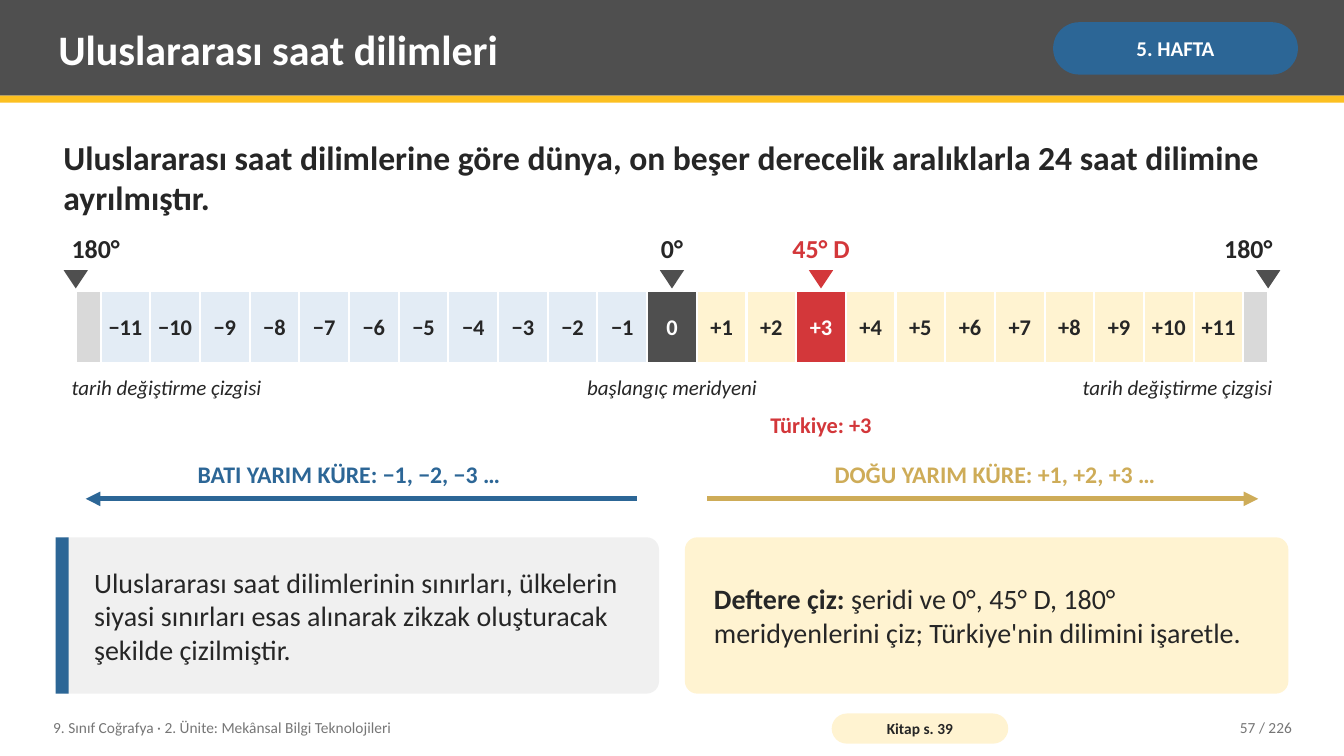
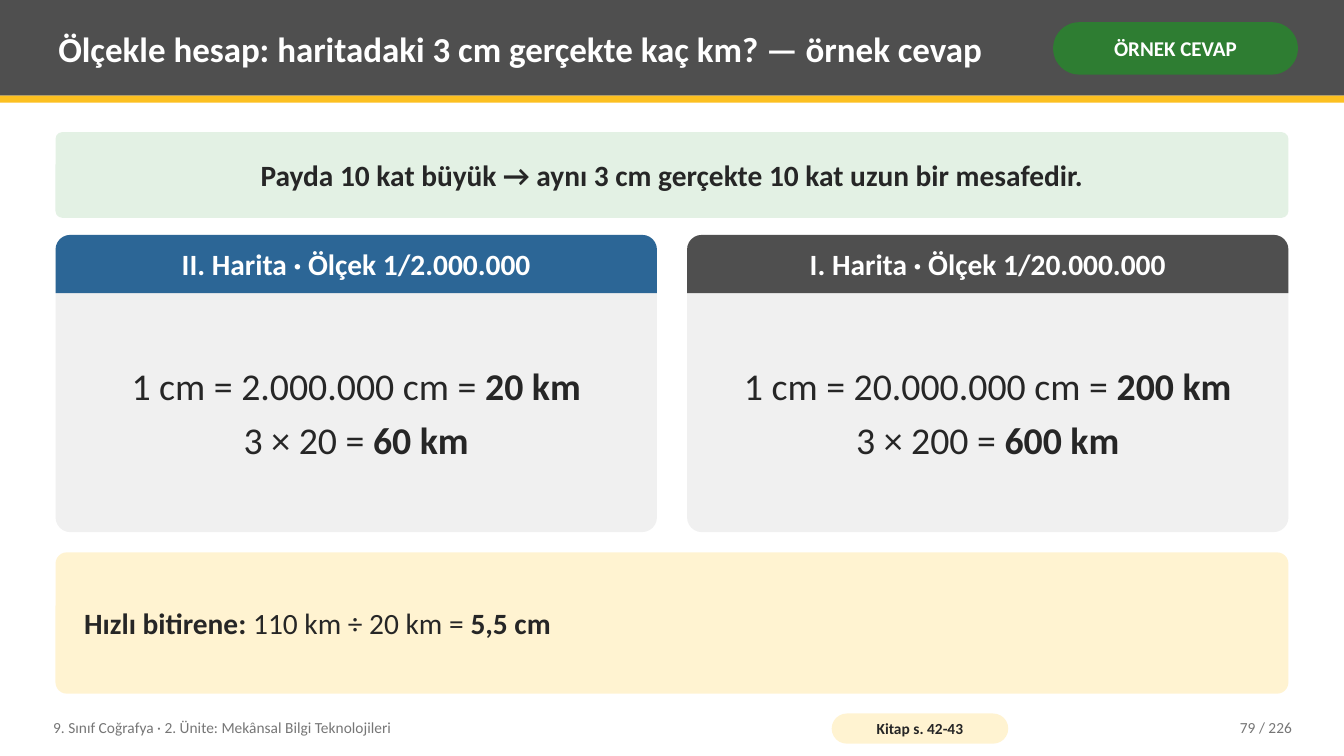
import dataclasses

import lxml.etree
import pptx
import pptx.dml.color
import pptx.enum.shapes
import pptx.enum.text
import pptx.oxml.ns
import pptx.util

Cm = pptx.util.Cm
Pt = pptx.util.Pt
Shape = pptx.enum.shapes.MSO_SHAPE
Align = pptx.enum.text.PP_ALIGN
Anchor = pptx.enum.text.MSO_ANCHOR


@dataclasses.dataclass(frozen=True)
class Theme:
    font: str = "Calibri"
    white: str = "FFFFFF"
    ink: str = "262626"
    muted: str = "767676"
    dark: str = "4F4F4F"
    gold: str = "FCC021"
    ochre: str = "CEAC58"
    cream: str = "FFF3D1"
    blue: str = "2C6696"
    pale_blue: str = "E3ECF5"
    red: str = "D3373A"
    green: str = "2E7D32"
    pale_green: str = "E3F1E4"
    panel: str = "F0F0F0"
    grey: str = "D9D9D9"
    footer: float = 11
    caption: float = 15
    label: float = 16
    direction: float = 17
    degree: float = 18.5
    body: float = 20
    strong: float = 21
    lead: float = 24
    formula: float = 27


theme = Theme()

FOOTER = "9. Sınıf Coğrafya · 2. Ünite: Mekânsal Bilgi Teknolojileri"
PAGE_COUNT = 226

ZONES_PAGE = {
    "title": "Uluslararası saat dilimleri", "title_size": 30,
    "badge": "5. HAFTA", "badge_color": theme.blue,
    "source": "Kitap s. 39", "number": 57,
}
LEAD = "Uluslararası saat dilimlerine göre dünya, on beşer derecelik aralıklarla 24 saat dilimine ayrılmıştır."
MERIDIANS = [
    (-12, "180°", theme.dark, theme.ink, Align.LEFT),
    (0, "0°", theme.dark, theme.ink, Align.CENTER),
    (3, "45° D", theme.red, theme.red, Align.CENTER),
    (12, "180°", theme.dark, theme.ink, Align.RIGHT),
]
CAPTIONS = [
    (-12, "tarih değiştirme çizgisi", Align.LEFT),
    (12, "tarih değiştirme çizgisi", Align.RIGHT),
    (0, "başlangıç meridyeni", Align.CENTER),
]
HEMISPHERES = [
    (-1, "BATI YARIM KÜRE: −1, −2, −3 …", theme.blue),
    (1, "DOĞU YARIM KÜRE: +1, +2, +3 …", theme.ochre),
]
BORDERS_NOTE = ("Uluslararası saat dilimlerinin sınırları, ülkelerin siyasi sınırları "
                "esas alınarak zikzak oluşturacak şekilde çizilmiştir.")
NOTEBOOK_TASK = [[("Deftere çiz:", True),
                  (" şeridi ve 0°, 45° D, 180° meridyenlerini çiz; Türkiye'nin dilimini işaretle.", False)]]

SCALE_PAGE = {
    "title": "Ölçekle hesap: haritadaki 3 cm gerçekte kaç km? — örnek cevap", "title_size": 25,
    "badge": "ÖRNEK CEVAP", "badge_color": theme.green,
    "source": "Kitap s. 42-43", "number": 79,
}
RULE = "Payda 10 kat büyük → aynı 3 cm gerçekte 10 kat uzun bir mesafedir."
MAPS = [
    ("II. Harita · Ölçek 1/2.000.000", theme.blue,
     [[("1 cm = 2.000.000 cm = ", False), ("20 km", True)],
      [("3 × 20 = ", False), ("60 km", True)]]),
    ("I. Harita · Ölçek 1/20.000.000", theme.dark,
     [[("1 cm = 20.000.000 cm = ", False), ("200 km", True)],
      [("3 × 200 = ", False), ("600 km", True)]]),
]
EXTRA_TASK = [[("Hızlı bitirene:", True), (" 110 km ÷ 20 km = ", False), ("5,5 cm", True)]]

WIDTH, HEIGHT = 33.87, 19.05
MARGIN = 1.4
CONTENT = WIDTH - 2 * MARGIN
MIDDLE = WIDTH / 2
STRIP_LEFT = 1.91
ZONE = (WIDTH - 2 * STRIP_LEFT) / 24
PIN = 0.61
TEXT_INSETS = (0.2, 0.1, 0.2, 0.1)
CARD_INSETS = (0.64, 0.2, 0.64, 0.2)


def write(box, text, size, color=theme.ink, bold=False, italic=False, align=Align.LEFT,
          anchor=Anchor.MIDDLE, insets=TEXT_INSETS, gap=0):
    frame = box.text_frame
    frame.word_wrap = True
    frame.vertical_anchor = anchor
    (frame.margin_left, frame.margin_top,
     frame.margin_right, frame.margin_bottom) = map(Cm, insets)
    lines = [[(text, bold)]] if isinstance(text, str) else text
    for index, line in enumerate(lines):
        para = frame.add_paragraph() if index else frame.paragraphs[0]
        para.alignment = align
        if index < len(lines) - 1:
            para.space_after = Pt(gap)
        font = para.font
        font.name, font.size, font.italic = theme.font, Pt(size), italic
        font.color.rgb = pptx.dml.color.RGBColor.from_string(color)
        if len(line) == 1:
            font.bold = line[0][1]
        for words, heavy in line:
            span = para.add_run()
            span.text = words
            if len(line) > 1:
                span.font.bold = heavy


def add_text(page, area, text, size, **style):
    box = page.shapes.add_textbox(*map(Cm, area))
    write(box, text, size, **style)


def add_block(page, area, fill, kind=Shape.RECTANGLE, corner=None, outline=None):
    block = page.shapes.add_shape(kind, *map(Cm, area))
    block.shadow.inherit = False
    block.fill.solid()
    block.fill.fore_color.rgb = pptx.dml.color.RGBColor.from_string(fill)
    if outline:
        block.line.color.rgb = pptx.dml.color.RGBColor.from_string(outline)
        block.line.width = Pt(1.5)
    else:
        block.line.fill.background()
    if corner is not None:
        block.adjustments[0] = corner
    return block


def add_card(page, area, fill, corner=0.08):
    return add_block(page, area, fill, Shape.ROUNDED_RECTANGLE, corner)


def add_arrow(page, start, end, y, color):
    arrow = page.shapes.add_connector(
        pptx.enum.shapes.MSO_CONNECTOR.STRAIGHT, Cm(start), Cm(y), Cm(end), Cm(y))
    arrow.line.color.rgb = pptx.dml.color.RGBColor.from_string(color)
    arrow.line.width = Pt(3.5)
    name = pptx.oxml.ns.qn
    lxml.etree.SubElement(arrow.line._get_or_add_ln(), name("a:tailEnd"), type="triangle")
    lxml.etree.SubElement(arrow._element.spPr, name("a:effectLst"))


def add_page(deck, info):
    page = deck.slides.add_slide(deck.slide_layouts[6])
    add_block(page, (0, 0, WIDTH, 2.41), theme.dark)
    add_block(page, (0, 2.41, WIDTH, 0.18), theme.gold)
    add_text(page, (1.27, 0.18, 24.77, 2.08), info["title"], info["title_size"],
             color=theme.white, bold=True)
    badge = add_card(page, (26.54, 0.56, 6.17, 1.32), info["badge_color"], 0.5)
    write(badge, info["badge"], theme.caption, theme.white, bold=True,
          align=Align.CENTER, insets=(0.13, 0.05, 0.13, 0.05))
    add_text(page, (1.14, 17.88, 19.3, 0.91), FOOTER, theme.footer, color=theme.muted)
    source = add_card(page, (20.96, 17.98, 4.45, 0.76), theme.cream, 0.5)
    write(source, info["source"], theme.footer, bold=True,
          align=Align.CENTER, insets=(0.1, 0, 0.1, 0))
    add_text(page, (28.7, 17.88, 4.06, 0.91), f"{info['number']} / {PAGE_COUNT}",
             theme.footer, color=theme.muted, align=Align.RIGHT)
    return page


def meridian(offset):
    return MIDDLE + offset * ZONE


def label_left(offset, width, align):
    center = meridian(offset)
    return {Align.LEFT: center - PIN / 2,
            Align.CENTER: center - width / 2,
            Align.RIGHT: center + PIN / 2 - width}[align]


def columns(gap):
    width = (CONTENT - gap) / 2
    return width, [MARGIN, MARGIN + width + gap]


def zone_style(offset):
    if offset in (0, 3):
        return (theme.red if offset else theme.dark), theme.white
    return (theme.cream if offset > 0 else theme.pale_blue), theme.ink


def add_strip(page):
    top, height = 7.32, 1.83
    for left in (STRIP_LEFT, WIDTH - STRIP_LEFT - ZONE / 2):
        add_block(page, (left, top, ZONE / 2, height), theme.grey, outline=theme.white)
    for offset in range(-11, 12):
        fill, color = zone_style(offset)
        zone = add_block(page, (meridian(offset - 0.5), top, ZONE, height), fill,
                         outline=theme.white)
        text = f"{offset:+d}".replace("-", "−") if offset else "0"
        write(zone, text, theme.label, color, bold=True, align=Align.CENTER,
              insets=(0, 0, 0, 0))


def build_zones(deck):
    page = add_page(deck, ZONES_PAGE)
    add_text(page, (MARGIN, 3.25, CONTENT, 2.41), LEAD, theme.lead, bold=True)
    add_strip(page)
    for offset, text, fill, color, align in MERIDIANS:
        add_block(page, (meridian(offset) - PIN / 2, 6.81, PIN, 0.46), fill,
                  Shape.FLOWCHART_MERGE)
        add_text(page, (label_left(offset, 3.56, align), 5.74, 3.56, 1.02), text,
                 theme.degree, color=color, bold=True, align=align)
    for offset, text, align in CAPTIONS:
        add_text(page, (label_left(offset, 7.62, align), 9.35, 7.62, 0.97), text,
                 theme.caption, italic=True, align=align, anchor=Anchor.TOP)
    add_text(page, (label_left(3, 4.57, Align.CENTER), 10.26, 4.57, 0.97), "Türkiye: +3",
             theme.label, color=theme.red, bold=True, align=Align.CENTER, anchor=Anchor.TOP)

    label_width = 13.77
    for side, text, color in HEMISPHERES:
        edge = meridian(12 * side)
        add_arrow(page, MIDDLE + 0.89 * side, edge - 0.25 * side, 12.57, color)
        left = edge if side < 0 else edge - label_width
        add_text(page, (left, 11.4, label_width, 1.07), text, theme.direction,
                 color=color, bold=True, align=Align.CENTER)

    top, height = 13.54, 3.94
    width, (note_left, task_left) = columns(0.65)
    note = add_card(page, (note_left, top, width, height), theme.panel)
    write(note, BORDERS_NOTE, theme.body, insets=(0.88, 0.1, 0.49, 0.1))
    add_block(page, (note_left, top, 0.33, height), theme.blue)
    task = add_card(page, (task_left, top, width, height), theme.cream)
    write(task, NOTEBOOK_TASK, theme.body, insets=CARD_INSETS)


def build_scales(deck):
    page = add_page(deck, SCALE_PAGE)
    rule = add_card(page, (MARGIN, 3.33, CONTENT, 2.16), theme.pale_green)
    write(rule, RULE, theme.strong, bold=True, align=Align.CENTER,
          insets=(0.36, 0.2, 0.36, 0.2))

    top = 5.92
    width, lefts = columns(0.76)
    for left, (heading, color, formulas) in zip(lefts, MAPS):
        card = add_card(page, (left, top, width, 7.49), theme.panel, 0.05)
        write(card, formulas, theme.formula, align=Align.CENTER,
              insets=(0.4, 1.67, 0.4, 0.2), gap=6)
        header = add_block(page, (left, top, width, 1.47), color,
                           Shape.ROUND_2_SAME_RECTANGLE, 0.25)
        write(header, heading, theme.strong, theme.white, bold=True,
              align=Align.CENTER, insets=(0.2, 0.1, 0.2, 0.21))

    extra = add_card(page, (MARGIN, 13.92, CONTENT, 3.56), theme.cream)
    write(extra, EXTRA_TASK, theme.strong, insets=CARD_INSETS)


def main():
    deck = pptx.Presentation()
    deck.slide_width, deck.slide_height = Cm(WIDTH), Cm(HEIGHT)
    build_zones(deck)
    build_scales(deck)
    deck.save("out.pptx")


if __name__ == "__main__":
    main()
